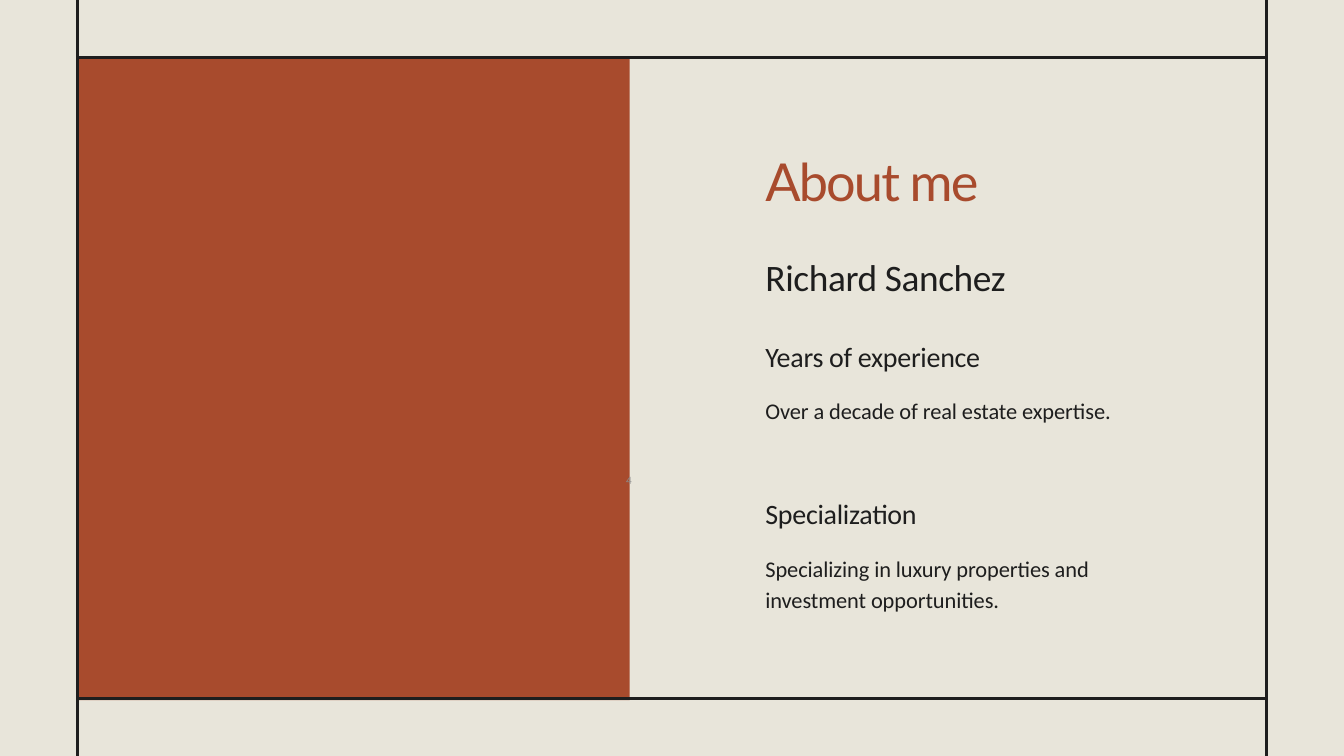
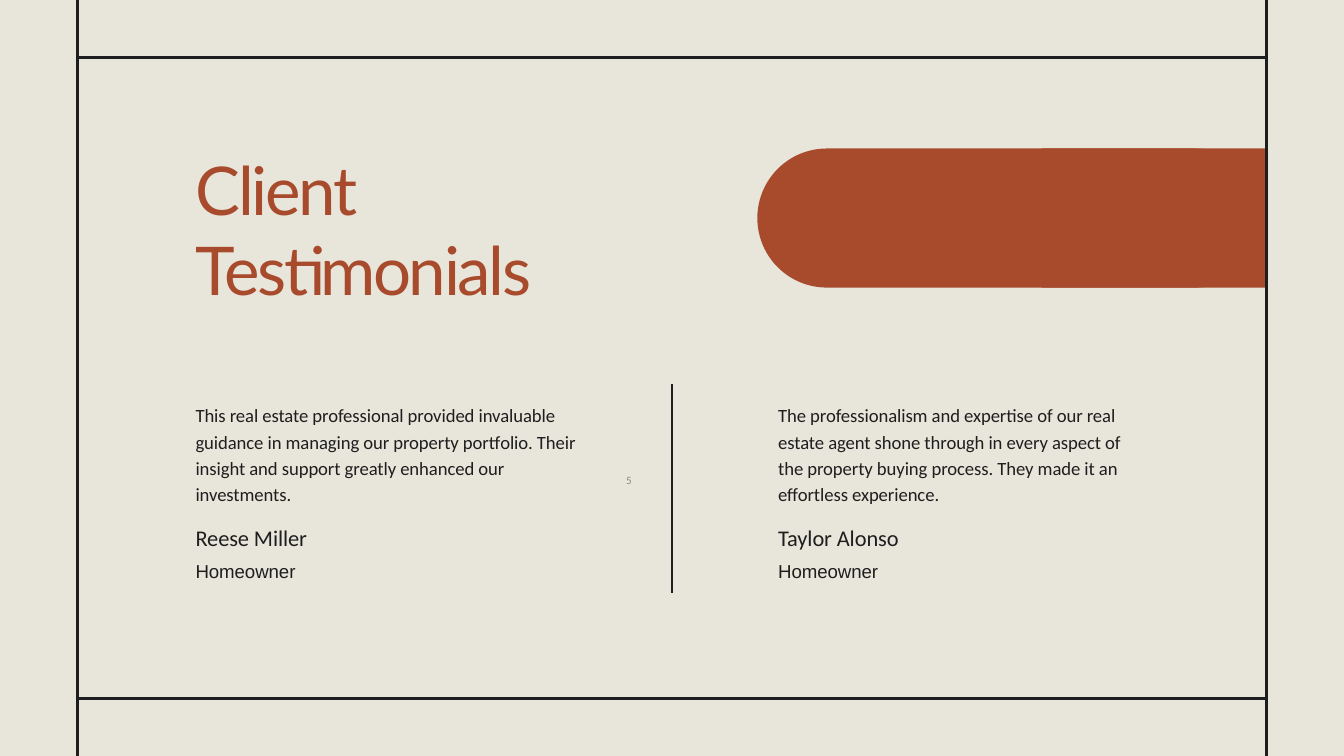
from typing import NamedTuple

from lxml.etree import SubElement
from pptx import Presentation
from pptx.dml.color import RGBColor
from pptx.enum.shapes import MSO_CONNECTOR, MSO_SHAPE as Shape
from pptx.enum.text import MSO_ANCHOR as Anchor, MSO_AUTO_SIZE as AutoSize, PP_ALIGN as Align
from pptx.oxml.ns import qn
from pptx.util import Emu, Pt

EMU_PER_PX = 9144  # 100 px to the inch
WIDTH, HEIGHT = 2000, 1125
COLORS = {"paper": "E8E5DA", "rust": "A84B2D", "ink": "1E1E1E", "gray": "8C8C8C"}
BODY_FONT, TITLE_FONT, ROLE_FONT = "Calibri", "Lato", "Arial"
LEADING = 1.4  # line spacing as a multiple of the text size

# Frame rules and text columns
LEFT, RIGHT, TOP, BOTTOM = 115, 1885, 85, 1040
ABOUT_X = 1139


class Box(NamedTuple):
    x: int
    y: int
    w: int
    h: int


class Fact(NamedTuple):
    y: int
    heading: str
    detail: str


class Testimonial(NamedTuple):
    x: int
    w: int
    quote: str
    client: str
    role: str


FACTS = [
    Fact(497, "Years of experience", "Over a decade of real estate expertise."),
    Fact(731, "Specialization",
         "Specializing in luxury properties and investment opportunities."),
]
TESTIMONIALS = [
    Testimonial(291, 600,
                "This real estate professional provided invaluable guidance in managing our "
                "property portfolio. Their insight and support greatly enhanced our investments.",
                "Reese Miller", "Homeowner"),
    Testimonial(1158, 550,
                "The professionalism and expertise of our real estate agent shone through in every "
                "aspect of the property buying process. They made it an effortless experience.",
                "Taylor Alonso", "Homeowner"),
]


def px(n: int) -> Emu:
    return Emu(n * EMU_PER_PX)


def rgb(name: str) -> RGBColor:
    return RGBColor.from_string(COLORS[name])


def add_text(slide, box: Box, text: str, *, size: int, font: str = BODY_FONT,
             color: str = "ink", tracking: float = -0.1, leading: float = LEADING) -> None:
    """Add a text box without insets; tracking is in points."""
    tf = slide.shapes.add_textbox(*map(px, box)).text_frame
    tf.word_wrap = True
    tf.auto_size = AutoSize.SHAPE_TO_FIT_TEXT
    tf.margin_left = tf.margin_right = tf.margin_top = tf.margin_bottom = 0
    p = tf.paragraphs[0]
    p.line_spacing = Pt(size * leading)
    r = p.add_run()
    r.text = text
    r.font.size, r.font.name = Pt(size), font
    r.font.color.rgb = rgb(color)
    r.font._element.set("spc", str(round(tracking * 100)))


def add_number(slide, number: int) -> None:
    tf = slide.shapes.add_textbox(*map(px, Box(717, 695, 233, 40))).text_frame
    tf.word_wrap = True
    tf.vertical_anchor = Anchor.MIDDLE
    p = tf.paragraphs[0]
    p.alignment = Align.RIGHT
    r = p.add_run()
    r.text = str(number)
    r.font.size, r.font.name = Pt(12), BODY_FONT
    r.font.color.rgb = rgb("gray")


def add_block(slide, box: Box, kind: Shape = Shape.RECTANGLE):
    sp = slide.shapes.add_shape(kind, *map(px, box))
    sp.shadow.inherit = False
    sp.fill.solid()
    sp.fill.fore_color.rgb = rgb("rust")
    sp.line.fill.background()
    return sp


def add_rule(slide, x1: int, y1: int, x2: int, y2: int) -> None:
    line = slide.shapes.add_connector(MSO_CONNECTOR.STRAIGHT, *map(px, (x1, y1, x2, y2)))
    line.line.color.rgb = rgb("ink")
    line.line.width = Pt(3)
    SubElement(line._element.spPr, qn("a:effectLst"))


def add_frame(slide) -> None:
    for y in (TOP, BOTTOM):
        add_rule(slide, LEFT, y, RIGHT, y)
    for x in (LEFT, RIGHT):
        add_rule(slide, x, 0, x, HEIGHT)


def new_slide(prs):
    slide = prs.slides.add_slide(prs.slide_layouts[6])
    slide.background.fill.solid()
    slide.background.fill.fore_color.rgb = rgb("paper")
    return slide


def build_about(prs) -> None:
    slide = new_slide(prs)
    add_block(slide, Box(117, 88, 820, 954))
    add_frame(slide)
    add_text(slide, Box(ABOUT_X, 207, 429, 105), "About me", size=56,
             font=TITLE_FONT, color="rust", tracking=-2)
    add_text(slide, Box(ABOUT_X, 367, 516, 75), "Richard Sanchez", size=40, tracking=-0.4)
    for fact in FACTS:
        add_text(slide, Box(ABOUT_X, fact.y, 429, 57), fact.heading, size=30, tracking=-0.3)
        add_text(slide, Box(ABOUT_X, fact.y + 88, 587, 90), fact.detail, size=24)
    add_number(slide, 4)


def build_testimonials(prs) -> None:
    slide = new_slide(prs)
    # Band rounded on the left and square against the frame
    pill = add_block(slide, Box(1127, 221, 756, 207), Shape.ROUNDED_RECTANGLE)
    pill.adjustments[0] = 0.5
    add_block(slide, Box(1550, 221, RIGHT - 1550, 207))
    add_frame(slide)
    add_rule(slide, WIDTH // 2, 571, WIDTH // 2, 883)
    add_text(slide, Box(291, 220, 733, 243), "Client Testimonials", size=72,
             font=TITLE_FONT, color="rust", tracking=-2.5, leading=1.2)
    for t in TESTIMONIALS:
        add_text(slide, Box(t.x, 596, t.w, 154), t.quote, size=20)
        add_text(slide, Box(t.x, 773, 325, 44), t.client, size=24)
        add_text(slide, Box(t.x, 827, 243, 38), t.role, size=20, font=ROLE_FONT)
    add_number(slide, 5)


def main() -> None:
    prs = Presentation()
    prs.slide_width, prs.slide_height = px(WIDTH), px(HEIGHT)
    build_about(prs)
    build_testimonials(prs)
    prs.save("out.pptx")


if __name__ == "__main__":
    main()
